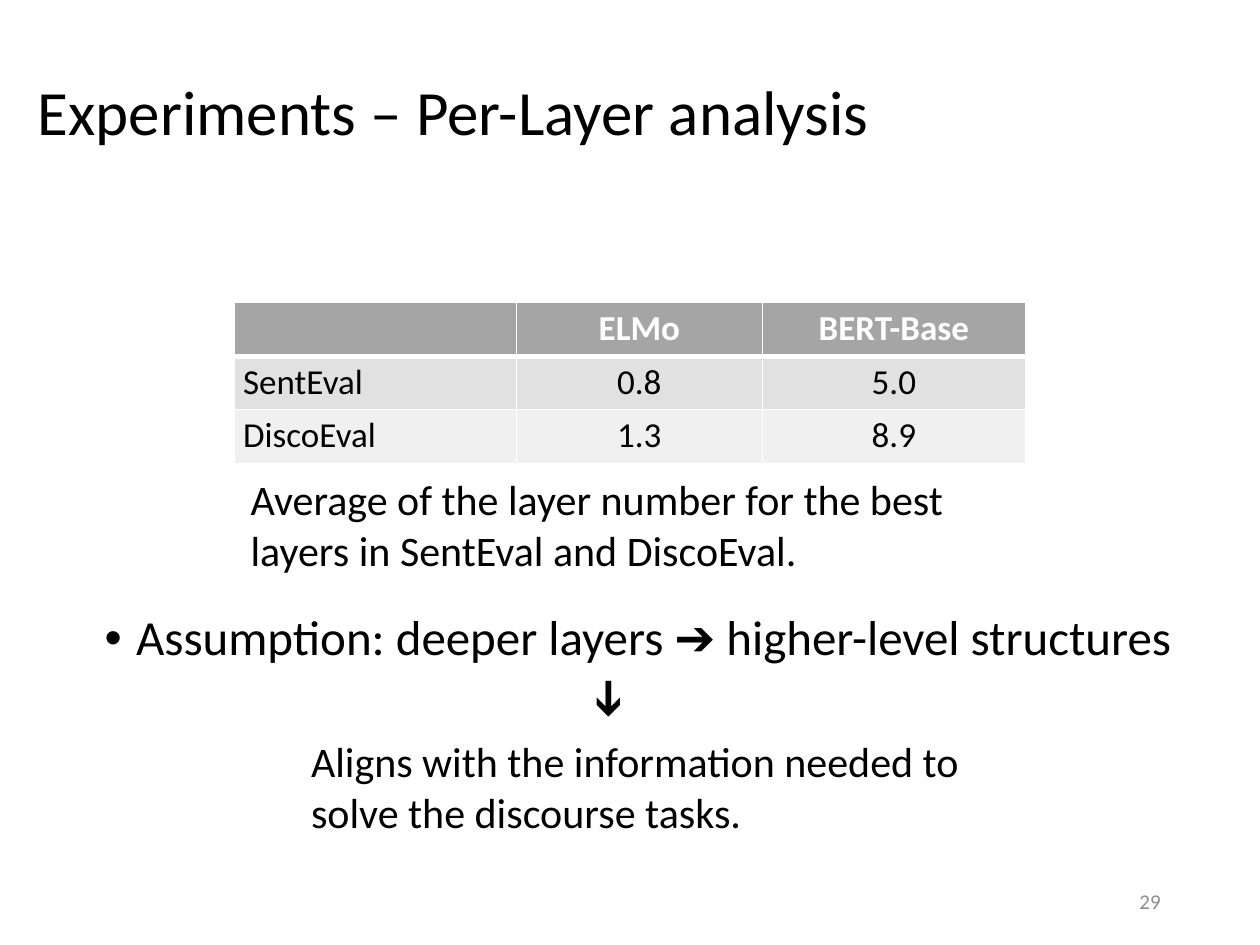
from pptx import Presentation
from pptx.dml.color import RGBColor
from pptx.enum.text import MSO_ANCHOR as Anchor, MSO_AUTO_SIZE as AutoSize, PP_ALIGN as Align
from pptx.oxml import parse_xml
from pptx.oxml.ns import nsdecls
from pptx.util import Pt

SCALE = 9144  # EMU per px, 100 px to the inch
BLACK, WHITE, GREY = "000000", "FFFFFF", "8C8C8C"
ROW_FILLS = ["A5A5A5", "E1E1E1", "F0F0F0"]


def px(length):
    return length * SCALE


def color(hex_code):
    return RGBColor.from_string(hex_code)


def set_values(target, values):
    for name, value in values.items():
        setattr(target, name, value)


class Deck:
    """Holds the text style and the current slide."""

    font_name = "Calibri"

    def __init__(self, width, height):
        self.prs = Presentation()
        set_values(self.prs, {"slide_width": px(width), "slide_height": px(height)})
        self.slide = self.prs.slides.add_slide(self.prs.slide_layouts[1])

    def fill_line(self, paragraph, text, size, hex_code=BLACK, bold=False, **layout):
        """Put styled text into a paragraph."""
        paragraph.text = text
        set_values(paragraph, layout)
        font = paragraph.runs[0].font
        set_values(font, {"name": self.font_name, "size": Pt(size), "bold": bold})
        font.color.rgb = color(hex_code)

    def place(self, holder, box, anchor):
        """Move a placeholder and return its first paragraph."""
        set_values(holder, dict(zip(("left", "top", "width", "height"), map(px, box))))
        set_values(holder.text_frame, {"word_wrap": True, "auto_size": AutoSize.NONE,
                                       "vertical_anchor": anchor})
        return holder.text_frame.paragraphs[0]

    def title(self, text, box):
        line = self.place(self.slide.shapes.title, box, Anchor.MIDDLE)
        self.fill_line(line, text, 36, alignment=Align.LEFT, line_spacing=0.9)

    def bullet(self, text, box, indent=25):
        line = self.place(self.slide.placeholders[1], box, Anchor.TOP)
        props = line._p.get_or_add_pPr()
        props.set("marL", str(px(indent)))
        props.set("indent", str(px(-indent)))
        props.append(parse_xml(f'<a:buChar {nsdecls("a")} char="•"/>'))
        self.fill_line(line, text, 28, line_spacing=0.9, space_before=Pt(0))

    def label(self, text, box, size, hex_code=BLACK, align=Align.LEFT,
              anchor=Anchor.TOP, wrap=True, rotation=0):
        note = self.slide.shapes.add_textbox(*map(px, box))
        note.rotation = rotation
        set_values(note.text_frame, {"word_wrap": wrap, "vertical_anchor": anchor})
        self.fill_line(note.text_frame.paragraphs[0], text, size, hex_code, alignment=align)

    def border(self, cell, widths):
        """Draw white cell edges; widths maps a side (L, R, T, B) to points."""
        props = cell._tc.get_or_add_tcPr()
        for position, (side, width) in enumerate(widths.items()):
            props.insert(position, parse_xml(
                f'<a:ln{side} {nsdecls("a")} w="{Pt(width)}"><a:solidFill>'
                f'<a:srgbClr val="{WHITE}"/></a:solidFill></a:ln{side}>'))

    def table(self, rows, box, widths, heights):
        grid = self.slide.shapes.add_table(len(rows), len(widths), *map(px, box)).table
        for column, width in zip(grid.columns, widths):
            column.width = px(width)
        for r, (values, height) in enumerate(zip(rows, heights)):
            grid.rows[r].height = px(height)
            header = r == 0
            for c, value in enumerate(values):
                cell = grid.cell(r, c)
                set_values(cell, {"margin_left": px(7), "margin_right": px(7),
                                  "margin_top": px(4), "margin_bottom": px(4)})
                cell.fill.solid()
                cell.fill.fore_color.rgb = color(ROW_FILLS[r])
                self.border(cell, {"L": 1, "R": 1, "T": 3 if r == 1 else 1,
                                   "B": 3 if header else 1})
                if value:
                    self.fill_line(cell.text_frame.paragraphs[0], value, 20,
                                   WHITE if header else BLACK, header,
                                   alignment=Align.CENTER if c else Align.LEFT)


def main():
    deck = Deck(1000, 750)
    deck.title("Experiments – Per-Layer analysis", (20, 37, 990, 109))
    deck.label("29", (706, 695, 225, 40), 12, GREY, Align.RIGHT, Anchor.MIDDLE)
    deck.table([["", "ELMo", "BERT-Base"],
                ["SentEval", "0.8", "5.0"],
                ["DiscoEval", "1.3", "8.9"]],
               (186, 240, 628, 128), [224, 195, 209], [43, 42, 43])
    deck.label("Average of the layer number for the best layers in SentEval and DiscoEval.",
               (189, 371, 651, 91), 24)
    deck.bullet("Assumption: deeper layers ➔ higher-level structures", (73, 482, 918, 64))
    deck.label("Aligns with the information needed to solve the discourse tasks.",
               (237, 579, 591, 91), 24)
    deck.label("➔", (455, 531, 62, 57), 28, wrap=False, rotation=90)
    deck.prs.save("out.pptx")


if __name__ == "__main__":
    main()
